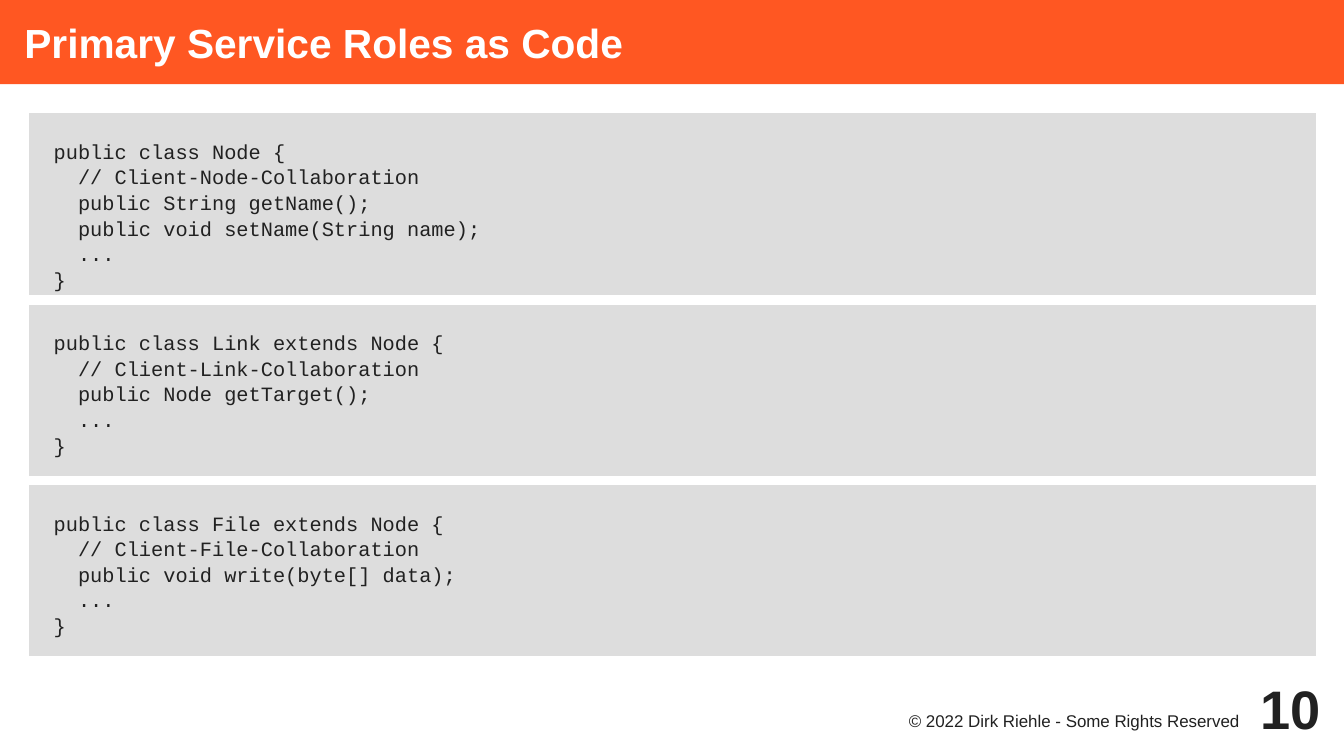
from dataclasses import dataclass

from lxml.etree import SubElement
from pptx import Presentation
from pptx.dml.color import RGBColor
from pptx.enum.text import MSO_ANCHOR, MSO_AUTO_SIZE, PP_ALIGN
from pptx.oxml.ns import qn
from pptx.util import Inches, Pt


@dataclass(frozen=True)
class Theme:
    accent: str = "FF5722"
    panel: str = "DDDDDD"
    paper: str = "FFFFFF"
    ink: str = "212121"
    sans: str = "Arial"
    mono: str = "Courier New"
    title_size: int = 24
    code_size: int = 12
    footer_size: int = 10
    number_size: int = 32
    panel_border: float = 5.67


NODE_CODE = """public class Node {
  // Client-Node-Collaboration
  public String getName();
  public void setName(String name);
  ...
}"""

LINK_CODE = """public class Link extends Node {
  // Client-Link-Collaboration
  public Node getTarget();
  ...
}"""

FILE_CODE = """public class File extends Node {
  // Client-File-Collaboration
  public void write(byte[] data);
  ...
}"""


def write_text(shape, text, *, font, size, color, bold=False, align=PP_ALIGN.LEFT,
               anchor=MSO_ANCHOR.TOP, insets=(0, 0, 0, 0), line_spacing=1.0):
    """Fill a shape with one unbulleted paragraph per line; insets run left, top, right, bottom."""
    frame = shape.text_frame
    frame.word_wrap = True
    frame.auto_size = MSO_AUTO_SIZE.NONE
    frame.vertical_anchor = anchor
    (frame.margin_left, frame.margin_top,
     frame.margin_right, frame.margin_bottom) = map(Inches, insets)
    for index, line in enumerate(text.splitlines()):
        paragraph = frame.add_paragraph() if index else frame.paragraphs[0]
        paragraph.alignment = align
        paragraph.line_spacing = line_spacing
        paragraph.space_before = paragraph.space_after = Pt(0)
        properties = paragraph._p.get_or_add_pPr()
        properties.set("marL", "0")
        properties.set("indent", "0")
        SubElement(properties, qn("a:buNone"))
        run = paragraph.add_run()
        run.text = line
        run.font.name = font
        run.font.size = Pt(size)
        run.font.bold = bold
        run.font.color.rgb = RGBColor.from_string(color)


class SlideBuilder:
    def __init__(self, slide, theme):
        self.slide = slide
        self.theme = theme

    def place(self, shape, box, fill):
        shape.left, shape.top, shape.width, shape.height = map(Inches, box)
        shape.shadow.inherit = False
        shape.fill.solid()
        shape.fill.fore_color.rgb = RGBColor.from_string(fill)

    def title(self, text, box):
        banner = self.slide.shapes.title
        self.place(banner, box, self.theme.accent)
        write_text(banner, text, font=self.theme.sans, size=self.theme.title_size,
                   color=self.theme.paper, bold=True, anchor=MSO_ANCHOR.MIDDLE,
                   insets=(0.2, 0, 0, 0))

    def code_panel(self, panel, code, box):
        self.place(panel, box, self.theme.panel)
        panel.line.color.rgb = RGBColor.from_string(self.theme.paper)
        panel.line.width = Pt(self.theme.panel_border)
        write_text(panel, code, font=self.theme.mono, size=self.theme.code_size,
                   color=self.theme.ink, insets=(0.24, 0.24, 0.04, 0.04),
                   line_spacing=1.05)

    def footer_text(self, text, box, **text_format):
        label = self.slide.shapes.add_textbox(*map(Inches, box))
        write_text(label, text, font=self.theme.sans, color=self.theme.ink,
                   align=PP_ALIGN.RIGHT, **text_format)


def main():
    presentation = Presentation()
    presentation.slide_width = Inches(11.02)
    presentation.slide_height = Inches(6.2)
    comparison_layout = presentation.slide_layouts[4]
    slide = presentation.slides.add_slide(comparison_layout)
    theme = Theme()
    builder = SlideBuilder(slide, theme)

    builder.title("Primary Service Roles as Code", (0, 0, 11.02, 0.69))

    _, *panels, spare = slide.placeholders
    spare.element.getparent().remove(spare.element)
    top = 0.89
    codes = (NODE_CODE, LINK_CODE, FILE_CODE)
    for panel, code, height in zip(panels, codes, (1.57, 1.48, 1.48)):
        builder.code_panel(panel, code, (0.2, top, 10.63, height))
        top += height

    builder.footer_text("© 2022 Dirk Riehle - Some Rights Reserved", (7.09, 5.81, 3.15, 0.3),
                        size=theme.footer_size, insets=(0, 0.02, 0.08, 0))
    builder.footer_text("10", (10.04, 5.51, 0.79, 0.59), size=theme.number_size,
                        bold=True, anchor=MSO_ANCHOR.MIDDLE)

    presentation.save("out.pptx")


if __name__ == "__main__":
    main()
